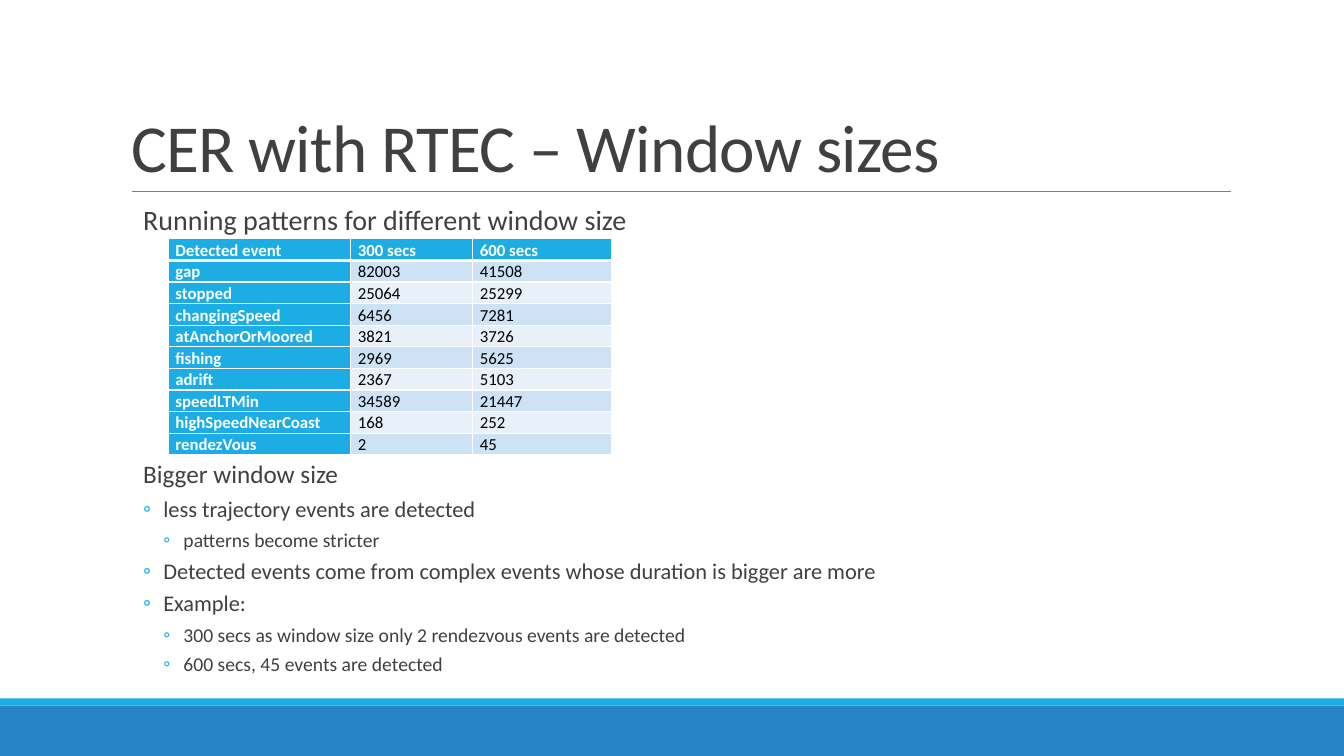
from lxml.etree import SubElement
from pptx import Presentation
from pptx.dml.color import RGBColor
from pptx.enum.shapes import MSO_CONNECTOR, MSO_SHAPE
from pptx.enum.text import MSO_ANCHOR, MSO_AUTO_SIZE, PP_ALIGN
from pptx.oxml import parse_xml
from pptx.oxml.ns import nsdecls, qn
from pptx.util import Inches, Pt

WHITE = RGBColor(0xFF, 0xFF, 0xFF)
BLACK = RGBColor(0, 0, 0)
DARK = RGBColor(0x40, 0x40, 0x40)
GRAY = RGBColor(0x80, 0x80, 0x80)
CYAN = RGBColor(0x1C, 0xAD, 0xE4)
BLUE = RGBColor(0x26, 0x83, 0xC6)
BAND_DARK = RGBColor(0xCD, 0xE3, 0xF5)
BAND_LIGHT = RGBColor(0xE8, 0xF1, 0xFA)


def write(paragraph, text, size, color=DARK, bold=False, align=PP_ALIGN.JUSTIFY,
          line_spacing=0.9, before=0, after=0, letter_spacing=0):
    paragraph.alignment = align
    paragraph.line_spacing = line_spacing
    paragraph.space_before = Pt(before)
    paragraph.space_after = Pt(after)
    run = paragraph.add_run()
    run.text = text
    run.font.name = "Calibri"
    run.font.size = Pt(size)
    run.font.bold = bold
    run.font.color.rgb = color
    if letter_spacing:
        run._r.get_or_add_rPr().set("spc", str(int(letter_spacing * 100)))


presentation = Presentation()
presentation.slide_width = Inches(13.33)
presentation.slide_height = Inches(7.5)
slide = presentation.slides.add_slide(presentation.slide_layouts[5])

for top, height, color in [(7, 0.5, BLUE), (6.93, 0.07, CYAN)]:
    bar = slide.shapes.add_shape(
        MSO_SHAPE.RECTANGLE, 0, Inches(top), presentation.slide_width, Inches(height))
    bar.shadow.inherit = False
    bar.fill.solid()
    bar.fill.fore_color.rgb = color
    bar.line.fill.background()

rule = slide.shapes.add_connector(
    MSO_CONNECTOR.STRAIGHT, Inches(1.31), Inches(1.9), Inches(12.21), Inches(1.9))
rule.line.color.rgb = GRAY
rule.line.width = Pt(0.5)
SubElement(rule._element.spPr, qn("a:effectLst"))

title = slide.shapes.title
title.left, title.top = Inches(1.2), Inches(0.31)
title.width, title.height = Inches(11), Inches(1.59)
title.text_frame.auto_size = MSO_AUTO_SIZE.NONE
title.text_frame.vertical_anchor = MSO_ANCHOR.BOTTOM
write(title.text_frame.paragraphs[0], "CER with RTEC – Window sizes", 48,
      align=PP_ALIGN.LEFT, line_spacing=0.85, letter_spacing=-0.5)

body = slide.shapes.add_textbox(Inches(1.2), Inches(2), Inches(11.5), Inches(5.5))
frame = body.text_frame
frame.word_wrap = True
frame.margin_left = frame.margin_right = 0

TABLE_GAP = 157
points = [
    ("Running patterns for different window size", 20, 0, 2),
    ("Bigger window size", 18, 0, TABLE_GAP),
    ("less trajectory events are detected", 16, 1, 2),
    ("patterns become stricter", 14, 2, 2),
    ("Detected events come from complex events whose duration is bigger are more", 16, 1, 2),
    ("Example:", 16, 1, 2),
    ("300 secs as window size only 2 rendezvous events are detected", 14, 2, 2),
    ("600 secs, 45 events are detected", 14, 2, 2),
]
for index, (text, size, depth, before) in enumerate(points):
    paragraph = frame.add_paragraph() if index else frame.paragraphs[0]
    write(paragraph, text, size, before=before, after=4)
    paragraph.level = max(depth - 1, 0)
    properties = paragraph._p.get_or_add_pPr()
    properties.set("marL", str(Inches(0.22 + 0.2 * depth)))
    properties.set("indent", str(Inches(-0.2 if depth else 0)))
    if depth:
        bullet_color = SubElement(properties, qn("a:buClr"))
        SubElement(bullet_color, qn("a:srgbClr"), val=str(CYAN))
        SubElement(properties, qn("a:buFont"), typeface="Calibri")
        SubElement(properties, qn("a:buChar"), char="◦")

events = [
    ("Detected event", "300 secs", "600 secs"),
    ("gap", "82003", "41508"),
    ("stopped", "25064", "25299"),
    ("changingSpeed", "6456", "7281"),
    ("atAnchorOrMoored", "3821", "3726"),
    ("fishing", "2969", "5625"),
    ("adrift", "2367", "5103"),
    ("speedLTMin", "34589", "21447"),
    ("highSpeedNearCoast", "168", "252"),
    ("rendezVous", "2", "45"),
]
table = slide.shapes.add_table(
    len(events), 3, Inches(1.67), Inches(2.37), Inches(4.4), Inches(2.05)).table
for column, width in zip(table.columns, [1.81, 1.21, 1.38]):
    column.width = Inches(width)

for row, values in enumerate(events):
    for column, value in enumerate(values):
        cell = table.cell(row, column)
        cell.margin_left = cell.margin_right = Inches(0.07)
        cell.margin_top = cell.margin_bottom = 0
        heading = row == 0 or column == 0
        write(cell.text_frame.paragraphs[0], value, 12, bold=heading,
              color=WHITE if heading else BLACK, line_spacing=1.07)
        for side in "LRTB":
            thick = (row, side) in [(0, "B"), (1, "T")]
            cell._tc.get_or_add_tcPr().append(parse_xml(
                f'<a:ln{side} {nsdecls("a")} w="{Pt(3 if thick else 1)}">'
                f'<a:solidFill><a:srgbClr val="{WHITE}"/></a:solidFill></a:ln{side}>'))
        cell.fill.solid()
        band = BAND_DARK if row % 2 else BAND_LIGHT
        cell.fill.fore_color.rgb = CYAN if heading else band

presentation.save("out.pptx")
